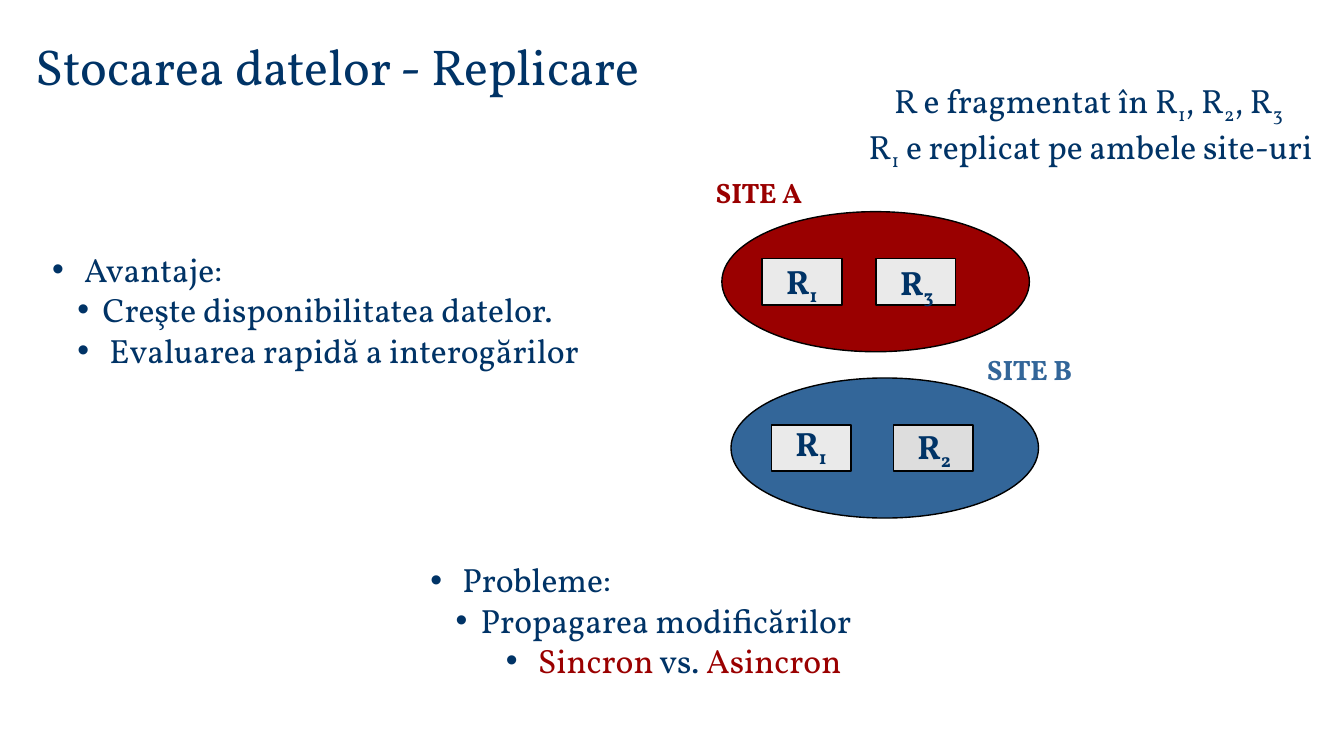
from dataclasses import dataclass

from pptx import Presentation, util as u
from pptx.dml.color import RGBColor
from pptx.enum import shapes, text
from pptx.oxml.ns import qn
from lxml import etree


@dataclass(frozen=True)
class Theme:
    font: str = "Vollkorn"
    navy: str = "003366"
    red: str = "9A0000"
    blue: str = "336699"
    light: str = "EAEAEA"
    grey: str = "DDDDDD"
    black: str = "000000"
    title: int = 36
    body: int = 24
    site: int = 20


T = Theme()
SUB, RED = {"sub": True}, {"color": T.red}

# Content: boxes are (left, top, width, height) in percent of the slide
TITLE = ("Stocarea datelor - Replicare", (1.88, 3.87, 85.67, 9.47))
NOTE_BOX = (59.86, 9.87, 42.54, 12.13)
NOTE = [
    [("R e fragmentat în R", {}), ("1", SUB), (", R", {}), ("2", SUB),
     (", R", {}), ("3 ", SUB)],
    [("R", {}), ("1", SUB), (" e replicat pe ambele site-uri", {})],
]
# Each bullet is (level, runs)
LISTS = [
    ((3.15, 32.27, 43.21, 19.6), [
        (0, [(" Avantaje:", {})]),
        (1, [("Creşte disponibilitatea datelor.", {})]),
        (1, [(" Evaluarea rapidă a interogărilor", {})]),
    ]),
    ((31.28, 73.33, 51.99, 20), [
        (0, [(" Probleme:", {})]),
        (1, [("Propagarea modificărilor", {})]),
        (2, [(" ", {}), ("Sincron", RED), (" vs. ", {}), ("Asincron", RED)]),
    ]),
]
# Fragments are (index, fill, rise of the label above its tile)
SITES = [
    {"name": "SITE A", "color": T.red, "at": (53.71, 28), "step": 8.48,
     "label": (52.51, 22.53, 8.48, 5.87),
     "fragments": [("1", T.light, 0.4), ("3", T.light, 0.27)]},
    {"name": "SITE B", "color": T.blue, "at": (54.39, 50), "step": 9.08,
     "label": (72.69, 46, 8.25, 5.87),
     "fragments": [("1", T.light, 0.93), ("2", T.grey, 0.53)]},
]
ELLIPSE = (22.88, 18.53)
TILE, TILE_OFFSET = (5.93, 6.13), (3, 6.2)
LABEL, LABEL_SHIFT = (4.2, 6.8), 1.05
HANG = 0.25  # inches between a bullet and its text

prs = Presentation()
prs.slide_width, prs.slide_height = u.Inches(13.33), u.Inches(7.5)
s = prs.slides.add_slide(prs.slide_layouts[5])


def place(box):
    sides = (prs.slide_width, prs.slide_height) * 2
    return [round(share * side / 100) for share, side in zip(box, sides)]


def write(p, words, size=T.body, color=T.navy, bold=False, sub=False):
    r = p.add_run()
    r.text = words
    r.font.name, r.font.size, r.font.bold = T.font, u.Pt(size), bold
    r.font.color.rgb = RGBColor.from_string(color)
    if sub:
        r.font._element.set("baseline", "-25000")


def text_box(box, wrap=True):
    tf = s.shapes.add_textbox(*place(box)).text_frame
    tf.word_wrap = wrap
    if not wrap:
        tf.auto_size = text.MSO_AUTO_SIZE.SHAPE_TO_FIT_TEXT
    return tf


def solid(kind, box, fill):
    sp = s.shapes.add_shape(kind, *place(box))
    sp.shadow.inherit = False
    sp.fill.solid()
    sp.fill.fore_color.rgb = RGBColor.from_string(fill)
    sp.line.color.rgb = RGBColor.from_string(T.black)
    sp.line.width = u.Pt(1)


def bullet(p, level):
    p.level = level
    pPr = p._p.get_or_add_pPr()
    pPr.set("marL", str(u.Inches(max(HANG, level / 2))))
    pPr.set("indent", str(-u.Inches(HANG)))
    etree.SubElement(pPr, qn("a:buFont")).set("typeface", "Arial")
    etree.SubElement(pPr, qn("a:buChar")).set("char", "•")


# Title
title = s.shapes.title
title.left, title.top, title.width, title.height = place(TITLE[1])
tf = title.text_frame
tf.word_wrap = True
tf.vertical_anchor = text.MSO_ANCHOR.BOTTOM
tf.paragraphs[0].alignment = text.PP_ALIGN.LEFT
write(tf.paragraphs[0], TITLE[0], size=T.title)

# Bullet lists
for box, bullets in LISTS:
    tf = text_box(box)
    for i, (level, runs) in enumerate(bullets):
        p = tf.add_paragraph() if i else tf.paragraphs[0]
        bullet(p, level)
        for words, style in runs:
            write(p, words, **style)

# Sites with their fragments
for site in SITES:
    left, top = site["at"]
    solid(shapes.MSO_SHAPE.OVAL, (left, top, *ELLIPSE), site["color"])
    for i, (index, fill, rise) in enumerate(site["fragments"]):
        x = left + TILE_OFFSET[0] + i * site["step"]
        y = top + TILE_OFFSET[1]
        solid(shapes.MSO_SHAPE.RECTANGLE, (x, y, *TILE), fill)
        p = text_box((x + LABEL_SHIFT, y - rise, *LABEL), wrap=False).paragraphs[0]
        write(p, "R", bold=True)
        write(p, index, bold=True, sub=True)
    p = text_box(site["label"], wrap=False).paragraphs[0]
    write(p, site["name"], size=T.site, color=site["color"], bold=True)

# Note on the fragments: one paragraph, two lines
p = text_box(NOTE_BOX).paragraphs[0]
p.alignment = text.PP_ALIGN.CENTER
for i, line in enumerate(NOTE):
    if i:
        p.add_line_break()
    for words, style in line:
        write(p, words, **style)

prs.save("out.pptx")
